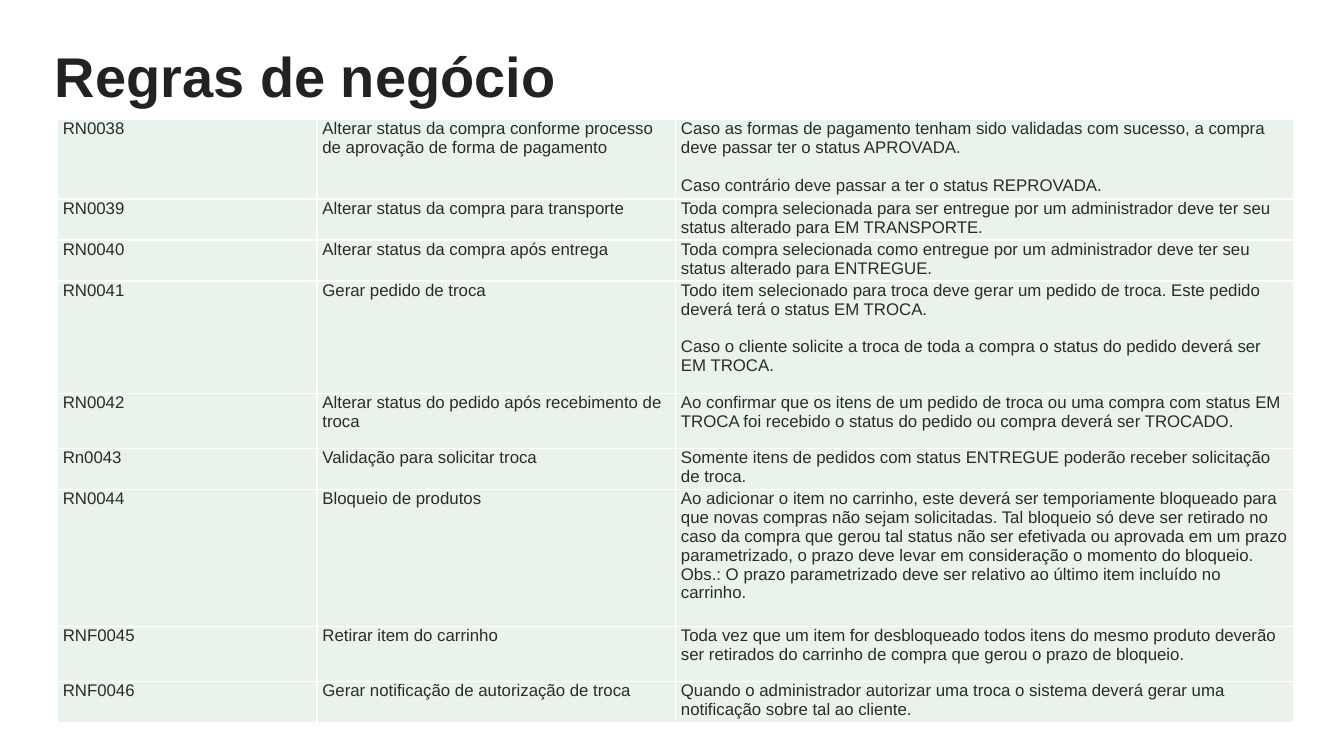
import pptx
import pptx.dml.color
import pptx.enum.text
import pptx.oxml
import pptx.oxml.ns
import pptx.util
from lxml import etree

COLORS = {"title": "222222", "text": "2B2B2B", "cell": "E9F3EC", "border": "FFFFFF"}
FONT = "Arial"
WIDTH = pptx.util.Inches(10)
HEIGHT = WIDTH * 9 // 16
COLUMN_SHARES = [0.21, 0.29, 0.5]
ROW_UNITS = [5.4, 3, 3, 8.2, 4, 3, 10, 4, 3]
RULES = [
    ("RN0038", "Alterar status da compra conforme processo de aprovação de forma de pagamento",
     "Caso as formas de pagamento tenham sido validadas com sucesso, a compra deve passar "
     "ter o status APROVADA.\nCaso contrário deve passar a ter o status REPROVADA."),
    ("RN0039", "Alterar status da compra para transporte",
     "Toda compra selecionada para ser entregue por um administrador deve ter seu status "
     "alterado para EM TRANSPORTE."),
    ("RN0040", "Alterar status da compra após entrega",
     "Toda compra selecionada como entregue por um administrador deve ter seu status "
     "alterado para ENTREGUE."),
    ("RN0041", "Gerar pedido de troca",
     "Todo item selecionado para troca deve gerar um pedido de troca. Este pedido deverá "
     "terá o status EM TROCA.\nCaso o cliente solicite a troca de toda a compra o status "
     "do pedido deverá ser EM TROCA."),
    ("RN0042", "Alterar status do pedido após recebimento de troca",
     "Ao confirmar que os itens de um pedido de troca ou uma compra com status EM TROCA "
     "foi recebido o status do pedido ou compra deverá ser TROCADO."),
    ("Rn0043", "Validação para solicitar troca",
     "Somente itens de pedidos com status ENTREGUE poderão receber solicitação de troca."),
    ("RN0044", "Bloqueio de produtos",
     "Ao adicionar o item no carrinho, este deverá ser temporiamente bloqueado para que "
     "novas compras não sejam solicitadas. Tal bloqueio só deve ser retirado no caso da "
     "compra que gerou tal status não ser efetivada ou aprovada em um prazo parametrizado, "
     "o prazo deve levar em consideração o momento do bloqueio. Obs.: O prazo parametrizado "
     "deve ser relativo ao último item incluído no carrinho."),
    ("RNF0045", "Retirar item do carrinho",
     "Toda vez que um item for desbloqueado todos itens do mesmo produto deverão ser "
     "retirados do carrinho de compra que gerou o prazo de bloqueio."),
    ("RNF0046", "Gerar notificação de autorização de troca",
     "Quando o administrador autorizar uma troca o sistema deverá gerar uma notificação "
     "sobre tal ao cliente."),
]


def rgb(name):
    """Return the named colour."""
    return pptx.dml.color.RGBColor.from_string(COLORS[name])


def area(left, top, width, height):
    """Turn percentages of the slide's size into lengths."""
    shares = zip((left, top, width, height), (WIDTH, HEIGHT) * 2)
    return [int(percent * size / 100) for percent, size in shares]


def style_runs(p, size, color, bold=False):
    """Format every run of a paragraph."""
    for r in p.runs:
        r.font.name, r.font.size, r.font.bold = FONT, pptx.util.Pt(size), bold
        r.font.color.rgb = rgb(color)


def add_title(s, text, box):
    """Add the slide's heading."""
    tf = s.shapes.add_textbox(*box).text_frame
    tf.word_wrap = True
    tf.margin_left = tf.margin_right = tf.margin_top = tf.margin_bottom = pptx.util.Inches(0.1)
    tf.text = text
    style_runs(tf.paragraphs[0], 30, "title", True)


def set_borders(cell):
    """Draw a thin line on all four sides of a cell."""
    tcPr = cell._tc.get_or_add_tcPr()
    for i, side in enumerate(("lnL", "lnR", "lnT", "lnB")):
        ln = etree.Element(pptx.oxml.ns.qn("a:" + side), w=str(pptx.util.Pt(1)))
        fill = etree.SubElement(ln, pptx.oxml.ns.qn("a:solidFill"))
        etree.SubElement(fill, pptx.oxml.ns.qn("a:srgbClr"), val=COLORS["border"])
        tcPr.insert(i, ln)


def fill_cell(cell, text):
    """Write one cell, with a line's gap between its paragraphs."""
    cell.margin_left = cell.margin_right = pptx.util.Inches(0.04)
    cell.margin_top = cell.margin_bottom = 0
    cell.vertical_anchor = pptx.enum.text.MSO_ANCHOR.TOP
    cell.fill.solid()
    cell.fill.fore_color.rgb = rgb("cell")
    set_borders(cell)
    tf = cell.text_frame
    tf.text = text
    for p in tf.paragraphs:
        style_runs(p, 9, "text")
    for p in tf.paragraphs[:-1]:
        p.space_after = pptx.util.Pt(10)


def add_rules_table(s, rules, box):
    """Add the table of business rules."""
    width, height = box[2:]
    table = s.shapes.add_table(len(rules), len(COLUMN_SHARES), *box).table
    table.first_row = table.horz_banding = False
    for column, share in zip(table.columns, COLUMN_SHARES):
        column.width = int(width * share)
    for row, units, texts in zip(table.rows, ROW_UNITS, rules):
        row.height = int(height * units / sum(ROW_UNITS))
        for cell, text in zip(row.cells, texts):
            fill_cell(cell, text)


def main():
    """Build and save the slide."""
    prs = pptx.Presentation()
    prs.slide_width, prs.slide_height = WIDTH, HEIGHT
    s = prs.slides.add_slide(prs.slide_layouts[6])
    add_title(s, "Regras de negócio", area(3.1, 3.73, 93.2, 11.73))
    add_rules_table(s, RULES, area(4.27, 15.82, 92, 79.1))
    prs.save("out.pptx")


if __name__ == "__main__":
    main()
